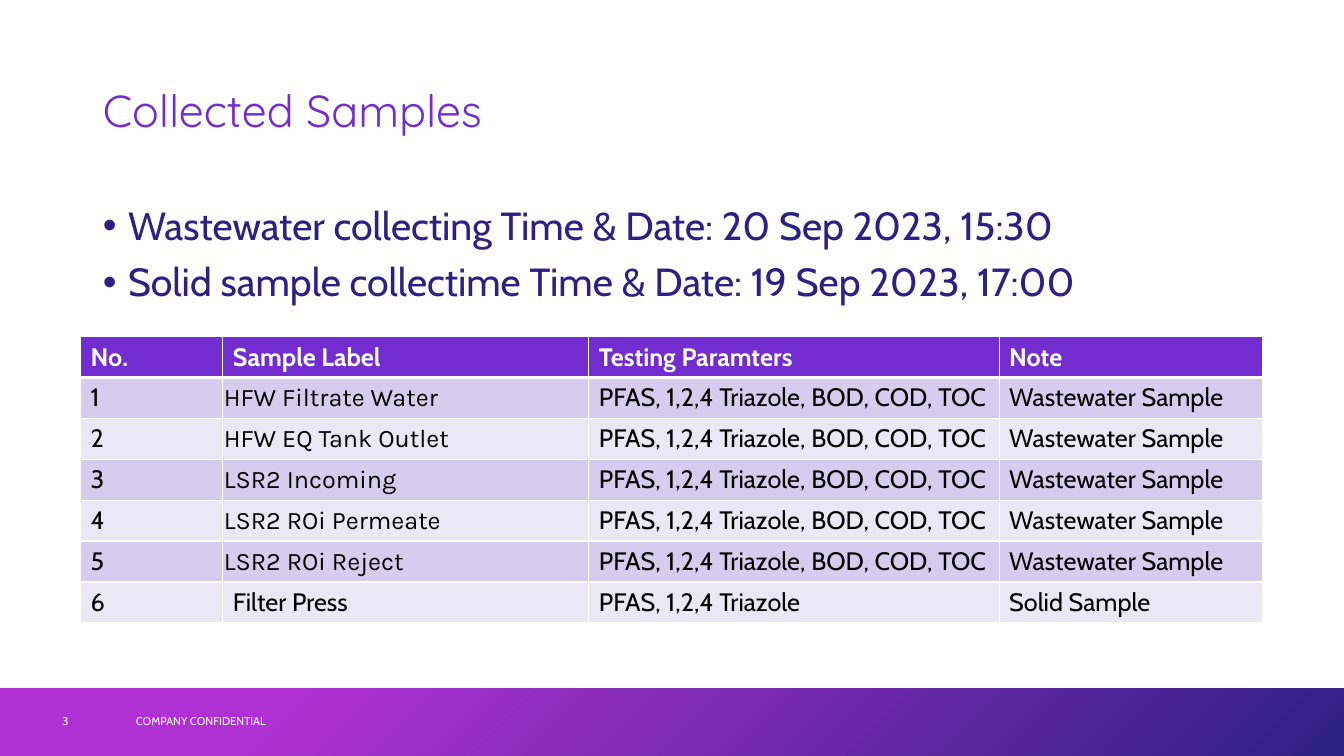
from lxml import etree
from pptx import Presentation
from pptx import util as u
from pptx.dml.color import RGBColor
from pptx.enum import shapes, text
from pptx.oxml import parse_xml
from pptx.oxml.ns import nsdecls, qn

PURPLE, NAVY, WHITE = "722CCF", "2D2082", "FFFFFF"
BANDS = ["EBE8F6", "D5CDED"]


def rgb(value):
    return RGBColor.from_string(value)


def add_run(p, words, size, color, font="Cabin", bold=False):
    r = p.add_run()
    r.text = words
    r.font.size = u.Pt(size)
    r.font.name = font
    r.font.bold = bold
    r.font.color.rgb = rgb(color)


prs = Presentation()
prs.slide_width, prs.slide_height = u.Inches(13.33), u.Inches(7.5)
W, H = prs.slide_width, prs.slide_height
s = prs.slides.add_slide(prs.slide_layouts[1])

# Footer band with its gradient
band_top = u.Inches(6.83)
band = s.shapes.add_shape(shapes.MSO_SHAPE.RECTANGLE, 0, band_top, W, H - band_top)
band.shadow.inherit = False
band.line.fill.background()
band.fill.gradient()
band.fill.gradient_angle = 315
for stop, (position, color) in zip(band.fill.gradient_stops, [(0.21, "AF31D3"), (1, NAVY)]):
    stop.position = position
    stop.color.rgb = rgb(color)

# Title and body placeholders
title, body = s.shapes.title, s.placeholders[1]
for sp, top, height, anchor in [
    (title, 0.4, 1.45, text.MSO_ANCHOR.MIDDLE),
    (body, 2, 4.76, text.MSO_ANCHOR.TOP),
]:
    sp.left, sp.top = u.Inches(0.92), u.Inches(top)
    sp.width, sp.height = u.Inches(11.5), u.Inches(height)
    sp.text_frame.vertical_anchor = anchor
    sp.text_frame.auto_size = text.MSO_AUTO_SIZE.NONE

p = title.text_frame.paragraphs[0]
p.alignment = text.PP_ALIGN.LEFT
p.line_spacing = 0.9
add_run(p, "Collected Samples", 32, PURPLE, "Quicksand")

tf = body.text_frame
for i, words in enumerate([
    "Wastewater collecting Time & Date: 20 Sep 2023, 15:30",
    "Solid sample collectime Time & Date: 19 Sep 2023, 17:00",
]):
    p = tf.add_paragraph() if i else tf.paragraphs[0]
    p.line_spacing = 0.9
    p.space_before = u.Pt(10)
    add_run(p, words, 28, NAVY)
    pPr = p._p.get_or_add_pPr()
    pPr.set("marL", str(u.Inches(0.25)))
    pPr.set("indent", str(u.Inches(-0.25)))
    color = etree.SubElement(pPr, qn("a:buClr"))
    etree.SubElement(color, qn("a:srgbClr"), val=NAVY)
    etree.SubElement(pPr, qn("a:buFont"), typeface="Arial")
    etree.SubElement(pPr, qn("a:buChar"), char="•")

# Footer texts
for words, left, width in [("COMPANY CONFIDENTIAL", 1.25, 4.5), ("3", 0.52, 0.72)]:
    sp = s.shapes.add_textbox(u.Inches(left), u.Inches(6.95), u.Inches(width), u.Inches(0.4))
    tf = sp.text_frame
    tf.word_wrap = True
    tf.vertical_anchor = text.MSO_ANCHOR.MIDDLE
    add_run(tf.paragraphs[0], words, 8, WHITE)

# Sample table
wastewater = ["HFW Filtrate Water", "HFW EQ Tank Outlet", "LSR2 Incoming",
              "LSR2 ROi Permeate", "LSR2 ROi Reject"]
rows = [["No.", "Sample Label", "Testing Paramters", "Note"]]
for number, label in enumerate(wastewater, 1):
    rows.append([str(number), label, "PFAS, 1,2,4 Triazole, BOD, COD, TOC", "Wastewater Sample"])
rows.append(["6", "Filter Press", "PFAS, 1,2,4 Triazole", "Solid Sample"])
col_widths = [1.41, 3.63, 4.07, 2.61]

table = s.shapes.add_table(len(rows), len(col_widths), u.Inches(0.8), u.Inches(3.34),
                           u.Inches(sum(col_widths)), u.Inches(2.84)).table
for column, width in zip(table.columns, col_widths):
    column.width = u.Inches(width)

for i, row in enumerate(rows):
    header = i == 0
    for j, words in enumerate(row):
        cell = table.cell(i, j)
        tcPr = cell._tc.get_or_add_tcPr()
        for side in "LRTB":
            under_header = (i, side) in [(0, "B"), (1, "T")]
            tcPr.append(parse_xml(
                f'<a:ln{side} {nsdecls("a")} w="{u.Pt(3 if under_header else 1)}">'
                f'<a:solidFill><a:srgbClr val="{WHITE}"/></a:solidFill></a:ln{side}>'))
        cell.fill.solid()
        cell.fill.fore_color.rgb = rgb(PURPLE if header else BANDS[i % 2])
        font = "Cabin"
        if j == 1 and words in wastewater:
            font = "Karla"
            cell.vertical_anchor = text.MSO_ANCHOR.MIDDLE
            cell.margin_left = cell.margin_top = cell.margin_right = u.Inches(0.01)
            cell.margin_bottom = 0
        add_run(cell.text_frame.paragraphs[0], words, 18,
                WHITE if header else "000000", font, header)

prs.save("out.pptx")
